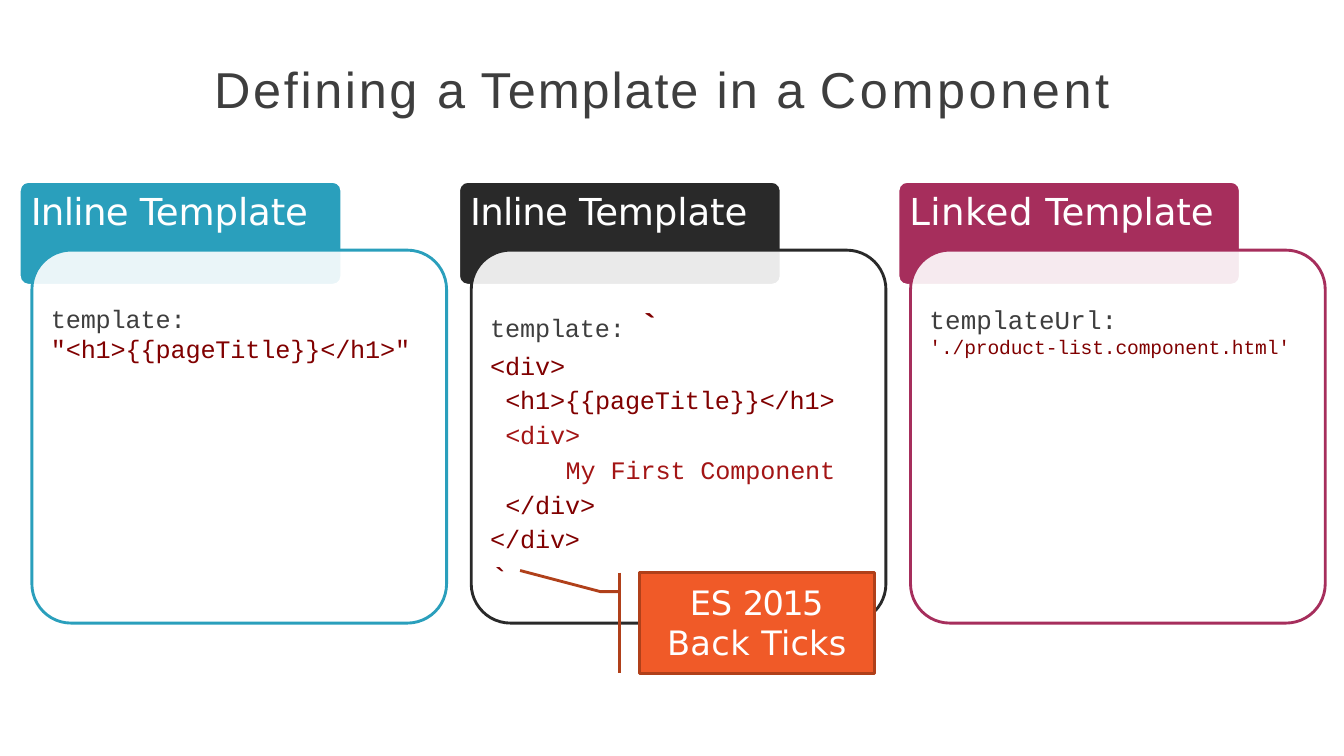
from dataclasses import dataclass

from lxml import etree
from pptx import Presentation
from pptx.dml.color import RGBColor
from pptx.enum import shapes, text
from pptx.oxml import ns
from pptx.util import Pt


@dataclass(frozen=True)
class Theme:
    """Colours, fonts and sizes used on the slide."""
    ink: str = "3E3E3E"
    white: str = "FFFFFF"
    teal: str = "2A9FBC"
    black: str = "292929"
    berry: str = "A62E5C"
    orange: str = "F05A28"
    rust: str = "B0401A"
    markup: str = "800000"
    markup_light: str = "A31515"
    title_font: str = "Arial"
    label_font: str = "DejaVu Sans"
    code_font: str = "Courier New"
    title_size: float = 36
    heading_size: float = 26.5
    callout_size: float = 24
    tick_size: float = 24
    code_size: float = 18
    url_key_size: float = 18.5
    url_size: float = 14
    line: float = 2.04


@dataclass
class Span:
    """A stretch of text; unset values follow the paragraph."""
    text: str
    spacing: float = 0
    color: str = None
    size: float = None
    bold: bool = None


@dataclass
class Para:
    """A paragraph with its shared font settings."""
    spans: list
    font: str
    size: float
    color: str
    before: float = 0
    indent: float = 0
    align: text.PP_ALIGN = text.PP_ALIGN.LEFT


class SlideBuilder:
    """Holds the theme and the slide being drawn."""

    def __init__(self, slide, theme):
        """Keep the slide's shapes and the theme."""
        self.shapes = slide.shapes
        self.theme = theme

    def style_font(self, font, color=None, size=None, bold=None):
        """Apply only the font values that are given."""
        if color:
            font.color.rgb = RGBColor.from_string(color)
        if size:
            font.size = Pt(size)
        if bold is not None:
            font.bold = bold

    def fill_text(self, frame, paras, insets=(0, 0, 0, 0)):
        """Fill a text frame from the top with paragraphs."""
        frame.word_wrap = True
        frame.vertical_anchor = text.MSO_ANCHOR.TOP
        (frame.margin_left, frame.margin_top,
         frame.margin_right, frame.margin_bottom) = map(Pt, insets)
        for index, para in enumerate(paras):
            line = frame.add_paragraph() if index else frame.paragraphs[0]
            line.alignment = para.align
            line.space_before = Pt(para.before)
            line.font.name = para.font
            self.style_font(line.font, para.color, para.size)
            if para.indent:
                line._p.get_or_add_pPr().set("marL", str(Pt(para.indent)))
            for span in para.spans:
                run = line.add_run()
                run.text = span.text
                self.style_font(run.font, span.color, span.size, span.bold)
                if span.spacing:
                    run._r.get_or_add_rPr().set("spc", str(round(span.spacing * 100)))

    def text_box(self, left, top, width, height, paras):
        """Add a text box without insets."""
        box = self.shapes.add_textbox(Pt(left), Pt(top), Pt(width), Pt(height))
        self.fill_text(box.text_frame, paras)

    def outline(self, shape, color):
        """Give a shape or line the common stroke."""
        shape.line.color.rgb = RGBColor.from_string(color)
        shape.line.width = Pt(self.theme.line)

    def panel(self, kind, frame, fill, line, radius=0, opacity=100):
        """Add a filled, outlined preset shape."""
        left, top, width, height = frame
        shape = self.shapes.add_shape(kind, *map(Pt, frame))
        shape.shadow.inherit = False
        shape.fill.solid()
        shape.fill.fore_color.rgb = RGBColor.from_string(fill)
        if opacity < 100:
            color = shape._element.spPr.find(".//" + ns.qn("a:srgbClr"))
            etree.SubElement(color, ns.qn("a:alpha"), val=str(opacity * 1000))
        if radius:
            shape.adjustments[0] = radius / min(width, height)
        self.outline(shape, line)
        return shape

    def straight_line(self, start, end, color):
        """Add a straight connector."""
        line = self.shapes.add_connector(
            shapes.MSO_CONNECTOR.STRAIGHT, *map(Pt, start + end))
        self.outline(line, color)
        etree.SubElement(line._element.spPr, ns.qn("a:effectLst"))

    def bent_line(self, points, color):
        """Add an open outline through the points."""
        corners = [(Pt(x), Pt(y)) for x, y in points]
        builder = self.shapes.build_freeform(*corners[0])
        builder.add_line_segments(corners[1:], close=False)
        line = builder.convert_to_shape()
        line.shadow.inherit = False
        line.fill.background()
        self.outline(line, color)

    def card(self, left, tab_width, color, heading, code):
        """Add a coloured tab, its translucent body and the code in it."""
        rounded = shapes.MSO_SHAPE.ROUNDED_RECTANGLE
        theme = self.theme
        tab = self.panel(rounded, (left, 129.6, tab_width, 74.2),
                         color, theme.white, radius=6.5)
        label = Para(heading, theme.label_font, theme.heading_size, theme.white)
        self.fill_text(tab.text_frame, [label], (6.3, 3, 0, 0))
        self.panel(rounded, (left + 9, 178.7, 296.2, 266.4),
                   theme.white, color, radius=28, opacity=90)
        self.text_box(left + 22.5, 216.7, 262, 190, code)


def main():
    """Build and save the slide."""
    deck = Presentation()
    deck.slide_width, deck.slide_height = Pt(960), Pt(540)
    theme = Theme()
    page = SlideBuilder(deck.slides.add_slide(deck.slide_layouts[6]), theme)

    def code(*spans, size=theme.code_size, color=theme.markup, before=3.2, indent=0):
        """Describe one line of code."""
        return Para(list(spans), theme.code_font, size, color, before, indent)

    words = [("Defining ", 1.9), ("a ", 0.6), ("Template ", 1.4),
             ("in ", 1.5), ("a ", 0.6), ("Component", 2.6)]
    page.text_box(153, 41.7, 650, 45, [
        Para([Span(*word) for word in words], theme.title_font,
             theme.title_size, theme.ink, before=1)])

    inline = [Span("Inline ", -0.5), Span("Template", -0.1)]
    linked = [Span("Linked ", 0.3), Span("Template", -0.1)]
    one_line = [code(Span("template: ", -0.1, theme.ink),
                     Span('"<h1>{{pageTitle}}</h1>"', -0.1), before=1)]
    markup = [
        ("<div>", 0, theme.markup),
        ("<h1>{{pageTitle}}</h1>", 10.8, theme.markup),
        ("<div>", 10.8, theme.markup_light),
        ("My First Component", 54, theme.markup_light),
        ("</div>", 10.8, theme.markup),
        ("</div>", 0, theme.markup),
    ]
    multi_line = [code(Span("template: ", -0.1, theme.ink),
                       Span("`", size=theme.tick_size, bold=True), before=7)]
    multi_line += [code(Span(line, -0.1), color=color, indent=indent)
                   for line, indent, color in markup]
    multi_line[1].before = 4.5
    url = [code(Span("templateUrl:", 0.1), size=theme.url_key_size,
                color=theme.ink, before=2.5),
           code(Span("'./product-list.component.html'", -0.1),
                size=theme.url_size, before=0.3)]

    cards = [(230.4, theme.teal, inline, one_line),
             (230.4, theme.black, inline, multi_line),
             (244.6, theme.berry, linked, url)]
    first_left, pitch = 13.8, 313.8
    for index, card in enumerate(cards):
        page.card(first_left + index * pitch, *card)

    page.text_box(350, 398.2, 18, 30,
                  [code(Span("`"), size=theme.tick_size, before=1)])
    page.straight_line((442.8, 409), (442.8, 481), theme.rust)
    page.bent_line([(442.8, 422.6), (429, 422.6), (371.5, 407.5)], theme.rust)
    callout = page.panel(shapes.MSO_SHAPE.RECTANGLE, (456.5, 409, 168, 72),
                         theme.orange, theme.rust)
    lines = [[Span("ES ", -0.1), Span("2015", -1.2)],
             [Span("Back ", 0.3), Span("Ticks", 0.1)]]
    page.fill_text(callout.text_frame, [
        Para(spans, theme.label_font, theme.callout_size, theme.white,
             align=text.PP_ALIGN.CENTER) for spans in lines], (0, 6.5, 0, 0))

    deck.save("out.pptx")


main()
